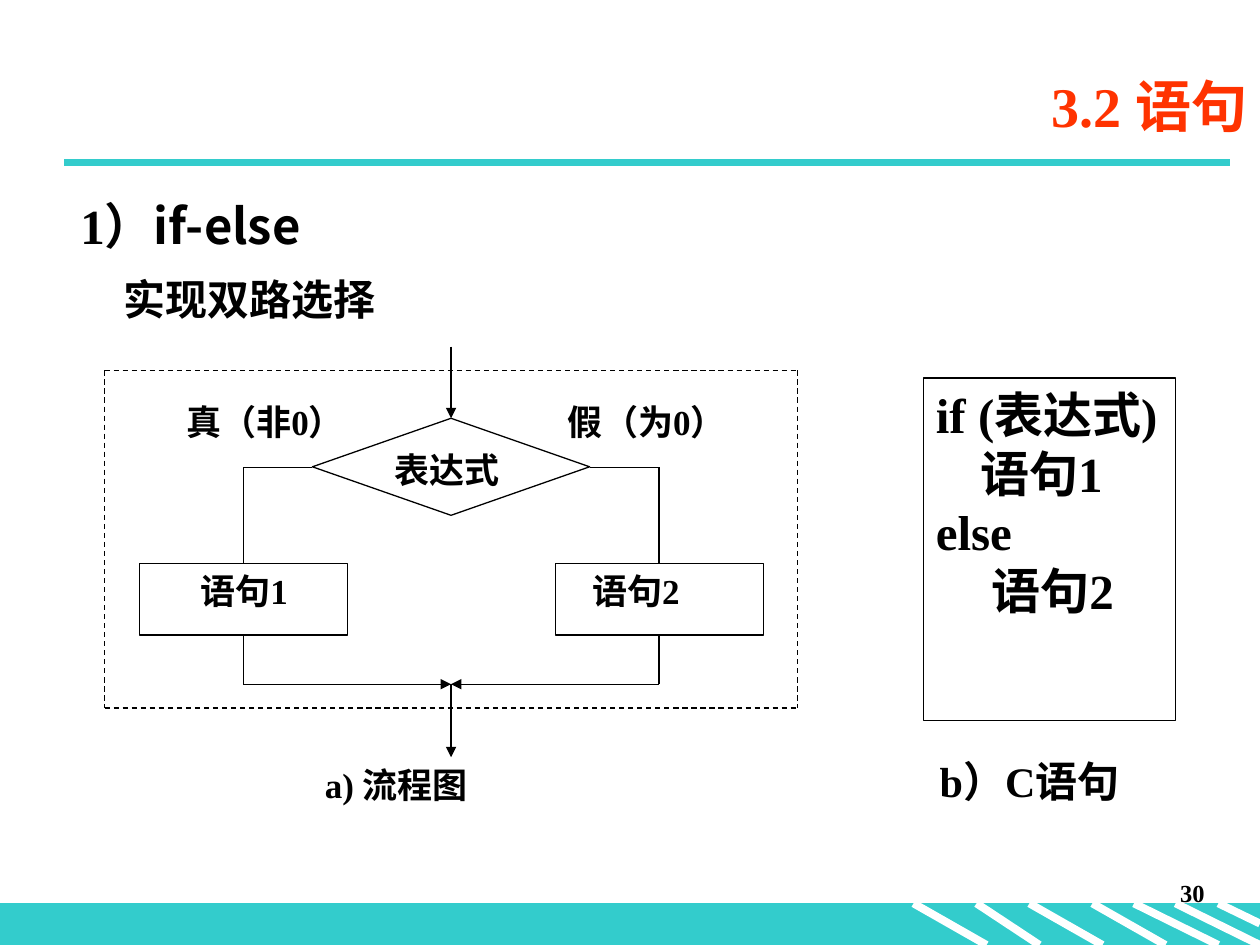
from dataclasses import dataclass

from lxml import etree
from pptx import Presentation
from pptx.dml.color import RGBColor
from pptx.enum.dml import MSO_LINE
from pptx.enum.shapes import MSO_CONNECTOR, MSO_SHAPE
from pptx.enum.text import MSO_ANCHOR, MSO_AUTO_SIZE, PP_ALIGN
from pptx.oxml.ns import qn
from pptx.util import Inches, Pt

RECTANGLE = MSO_SHAPE.RECTANGLE
DECISION = MSO_SHAPE.FLOWCHART_DECISION
STRAIGHT = MSO_CONNECTOR.STRAIGHT
DASH = MSO_LINE.DASH
TOP, MIDDLE = MSO_ANCHOR.TOP, MSO_ANCHOR.MIDDLE
LEFT, RIGHT, JUSTIFY = PP_ALIGN.LEFT, PP_ALIGN.RIGHT, PP_ALIGN.JUSTIFY

COLORS = {"teal": "33CCCC", "white": "FFFFFF", "black": "000000", "title": "FF3300"}
SERIF = "Times New Roman"
SANS = "Noto Sans CJK SC"


@dataclass
class Area:
    left: float
    top: float
    width: float
    height: float


@dataclass
class Line:
    x1: float
    y1: float
    x2: float
    y2: float
    arrow: bool = False
    dashed: bool = False


@dataclass
class Label:
    area: Area
    text: str
    size: float = 20
    font: str = SERIF
    align: int = JUSTIFY
    spacing: float = 1.0


@dataclass
class Node:
    area: Area
    text: str
    kind: int = RECTANGLE
    size: float = 20
    indent: float = 0


def color(name: str) -> RGBColor:
    return RGBColor.from_string(COLORS[name])


def write_text(frame, text, *, size=20, font=SERIF, tint="black", align=JUSTIFY,
               anchor=TOP, spacing=1.0, indent=0, accent=""):
    frame.word_wrap = True
    frame.auto_size = MSO_AUTO_SIZE.NONE
    frame.vertical_anchor = anchor
    for index, content in enumerate(text.split("\n")):
        para = frame.paragraphs[0] if index == 0 else frame.add_paragraph()
        para.alignment = align
        para.line_spacing = spacing
        para.space_before = Pt(0)
        properties = para._p.get_or_add_pPr()
        properties.set("marL", str(Inches(indent)))
        properties.set("indent", "0")
        etree.SubElement(properties, qn("a:buNone"))
        for piece, face in ((content, font), (accent, SANS)):
            if not piece:
                continue
            span = para.add_run()
            span.text = piece
            span.font.size = Pt(size)
            span.font.bold = True
            span.font.name = face
            span.font.color.rgb = color(tint)
            east_asian = etree.SubElement(span._r.get_or_add_rPr(), qn("a:ea"))
            east_asian.set("typeface", SANS)


def place(shape, area: Area):
    shape.left, shape.top = Inches(area.left), Inches(area.top)
    shape.width, shape.height = Inches(area.width), Inches(area.height)


def draw_line(page, line: Line, tint: str = "black", weight: float = 0.75):
    connector = page.shapes.add_connector(
        STRAIGHT, Inches(line.x1), Inches(line.y1), Inches(line.x2), Inches(line.y2))
    connector.line.color.rgb = color(tint)
    connector.line.width = Pt(weight)
    if line.dashed:
        connector.line.dash_style = DASH
    if line.arrow:
        etree.SubElement(connector.line._get_or_add_ln(), qn("a:tailEnd")).set("type", "triangle")
    etree.SubElement(connector._element.spPr, qn("a:effectLst"))


def draw_shape(page, area: Area, kind: int, fill: str, outline: str):
    shape = page.shapes.add_shape(kind, 0, 0, 0, 0)
    place(shape, area)
    shape.shadow.inherit = False
    shape.fill.solid()
    shape.fill.fore_color.rgb = color(fill)
    shape.line.color.rgb = color(outline)
    shape.line.width = Pt(0.75)
    return shape


def draw_node(page, node: Node):
    shape = draw_shape(page, node.area, node.kind, "white", "black")
    write_text(shape.text_frame, node.text, size=node.size, indent=node.indent)


def draw_label(page, label: Label, accent: str = ""):
    box = page.shapes.add_textbox(0, 0, 0, 0)
    place(box, label.area)
    write_text(box.text_frame, label.text, size=label.size, font=label.font,
               align=label.align, spacing=label.spacing, accent=accent)


def draw_background(page):
    draw_shape(page, Area(0, 7.17, 10, 0.33), RECTANGLE, "teal", "teal")
    stripes = [(7.25, 7.83), (7.75, 8.25), (8.17, 8.75), (8.67, 9.25), (9, 9.67), (9.33, 10)]
    for start, end in stripes:
        draw_line(page, Line(start, 7.17, end, 7.5), "white", 4.5)
    draw_line(page, Line(9.67, 7.17, 10, 7.33), "white", 4.5)
    draw_line(page, Line(0.51, 1.29, 9.76, 1.29), "teal", 4.5)


def draw_flowchart(page):
    center, branch, half_diamond = 3.58, 1.65, 1.1
    split, node_top, node_bottom, merge = 3.71, 4.47, 5.05, 5.43
    frame_left, frame_right, frame_top, frame_bottom = 0.83, 6.33, 2.94, 5.62

    lines = [Line(center, 2.75, center, 3.32, arrow=True),
             Line(center, merge, center, 6.01, arrow=True)]
    for side in (-1, 1):
        x = center + side * branch
        lines += [Line(x, split, center + side * half_diamond, split),
                  Line(x, split, x, node_top),
                  Line(x, node_bottom, x, merge),
                  Line(x, merge, center, merge, arrow=True)]
    for x in (frame_left, frame_right):
        lines.append(Line(x, frame_top, x, frame_bottom, dashed=True))
    for y in (frame_top, frame_bottom):
        lines.append(Line(frame_left, y, frame_right, y, dashed=True))
    for line in lines:
        draw_line(page, line)

    for node in (Node(Area(2.48, 3.32, 2.2, 0.77), "表达式", DECISION),
                 Node(Area(1.11, node_top, 1.65, 0.57), "语句1", indent=0.38),
                 Node(Area(4.41, node_top, 1.65, 0.57), "语句2", indent=0.19)):
        draw_node(page, node)
    for label in (Label(Area(1.38, 3.13, 1.92, 0.57), "真（非0）"),
                  Label(Area(4.41, 3.13, 1.93, 0.57), "假（为0）"),
                  Label(Area(2.48, 6.01, 3.02, 0.57), "a) 流程图")):
        draw_label(page, label)


def main():
    deck = Presentation()
    deck.slide_width, deck.slide_height = Inches(10), Inches(7.5)
    page = deck.slides.add_slide(deck.slide_layouts[5])

    draw_background(page)
    title = page.shapes.title
    place(title, Area(1.5, 0.44, 8.5, 0.79))
    write_text(title.text_frame, "3.2 语句", size=32, tint="title", align=RIGHT, anchor=MIDDLE)

    draw_label(page, Label(Area(7.58, 6.92, 2.08, 0.5), "30", 14, align=RIGHT))
    draw_label(page, Label(Area(0.54, 1.5, 9.08, 0.67), "1）", 28, align=LEFT), accent="if-else")
    draw_label(page, Label(Area(0.88, 2.17, 8.42, 0.46), "实现双路选择", 24, SANS, spacing=0.9))
    code = "if (表达式)\n    语句1\nelse\n     语句2"
    draw_node(page, Node(Area(7.33, 3, 2, 2.72), code, size=28))
    draw_label(page, Label(Area(7.36, 5.95, 2.25, 0.54), "b）C语句", 24))
    draw_flowchart(page)

    deck.save("out.pptx")


if __name__ == "__main__":
    main()
